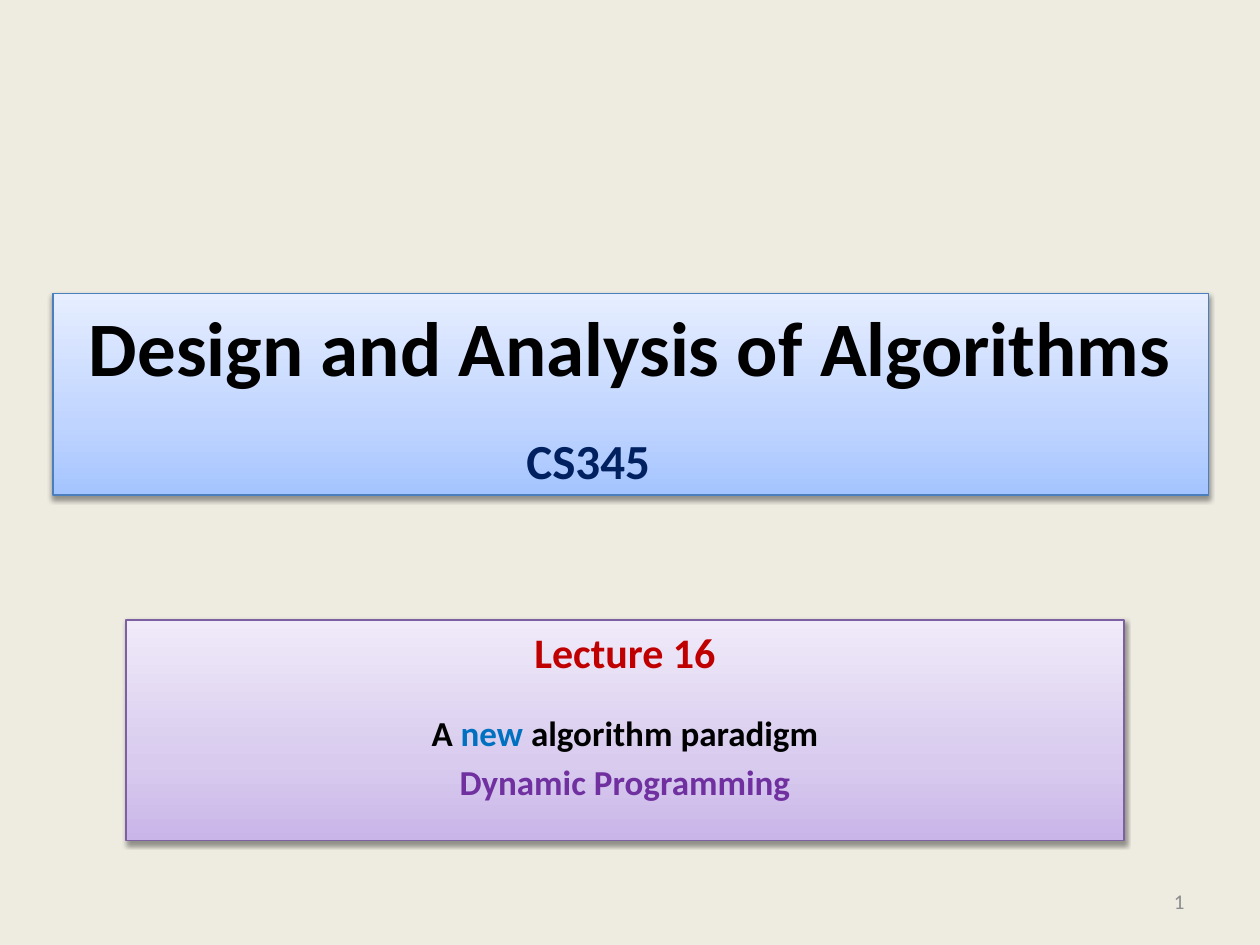
from copy import deepcopy

from pptx import Presentation
from pptx.dml.color import RGBColor as RGB
from pptx.enum.shapes import MSO_SHAPE as SHAPE
from pptx.enum.text import MSO_ANCHOR as ANCHOR, MSO_AUTO_SIZE as FIT, PP_ALIGN as ALIGN
from pptx.oxml import parse_xml
from pptx.util import Inches, Pt

# Content: each paragraph is (space before, size name, [(text, colour name)])
TITLE = [(0, "title", [("Design and Analysis of Algorithms", "ink")])]
TOPIC = [
    (0, "head", [("Lecture 16", "red")]),
    (20, "body", [("A ", "ink"), ("new", "blue"), (" algorithm paradigm", "ink")]),
    (4, "body", [("Dynamic Programming", "purple")]),
]
CODE = [(0, "code", [("CS345", "navy")])]
PAGE = [(0, "page", [("1", "gray")])]

THEME = {
    "font": "Calibri",
    "size": {"title": 44, "code": 28, "head": 24, "body": 20, "page": 12},
    "color": {"ink": "000000", "red": "C00000", "blue": "0070C0",
              "purple": "7030A0", "navy": "002060", "gray": "8C8C8C"},
    "back": "EEECE1",
    "sky": (["A4C4FF", "BFD4FF", "E6EEFF"], "4B7EBC"),
    "lilac": (["C9B5E8", "D8CBEE", "F0EAF9"], "7D60A0"),
}
STOPS = (0, 0.35, 1)
SHADOW = (
    '<a:effectLst xmlns:a="http://schemas.openxmlformats.org/drawingml/2006/main">'
    '<a:outerShdw blurRad="40000" dist="20000" dir="5400000" rotWithShape="0">'
    '<a:srgbClr val="000000"><a:alpha val="38000"/></a:srgbClr>'
    '</a:outerShdw></a:effectLst>'
)


def place(shape, box):
    shape.left, shape.top, shape.width, shape.height = map(Inches, box)


def paint(shape, look):
    """Three-stop vertical gradient, thin outline and soft shadow."""
    colors, edge = look
    fill = shape.fill
    fill.gradient()
    fill.gradient_angle = 90
    first = fill._fill._gradFill.gsLst[0]
    first.addnext(deepcopy(first))
    for stop, pos, color in zip(fill.gradient_stops, STOPS, colors):
        stop.position = pos
        stop.color.rgb = RGB.from_string(color)
    shape.line.color.rgb = RGB.from_string(edge)
    shape.line.width = Pt(0.75)
    shape._element.spPr.append(parse_xml(SHADOW))


def write(shape, paras, align, anchor=ANCHOR.TOP, bold=True):
    frame = shape.text_frame
    frame.word_wrap = True
    frame.auto_size = FIT.NONE
    frame.vertical_anchor = anchor
    for i, (gap, size, parts) in enumerate(paras):
        para = frame.add_paragraph() if i else frame.paragraphs[0]
        para.alignment = align
        para.space_before = Pt(gap)
        for text, color in parts:
            run = para.add_run()
            run.text = text
            font = run.font
            font.name, font.bold = THEME["font"], bold
            font.size = Pt(THEME["size"][size])
            font.color.rgb = RGB.from_string(THEME["color"][color])


def main():
    deck = Presentation()
    deck.slide_width, deck.slide_height = Inches(10), Inches(7.5)
    slide = deck.slides.add_slide(deck.slide_layouts[5])
    back = slide.background.fill
    back.solid()
    back.fore_color.rgb = RGB.from_string(THEME["back"])
    shapes = slide.shapes

    # Course title
    title = shapes.title
    place(title, (0.42, 2.33, 9.17, 1.6))
    paint(title, THEME["sky"])
    write(title, TITLE, ALIGN.CENTER)

    # Lecture topic
    topic = shapes.add_shape(SHAPE.RECTANGLE, *map(Inches, (1, 4.92, 7.92, 1.75)))
    paint(topic, THEME["lilac"])
    write(topic, TOPIC, ALIGN.CENTER)

    # Page number and course code
    page = shapes.add_textbox(*map(Inches, (7.17, 6.95, 2.33, 0.4)))
    write(page, PAGE, ALIGN.RIGHT, ANCHOR.MIDDLE, bold=False)
    code = shapes.add_textbox(*map(Inches, (4.08, 3.37, 1.75, 0.57)))
    write(code, CODE, ALIGN.LEFT)

    deck.save("out.pptx")


if __name__ == "__main__":
    main()
